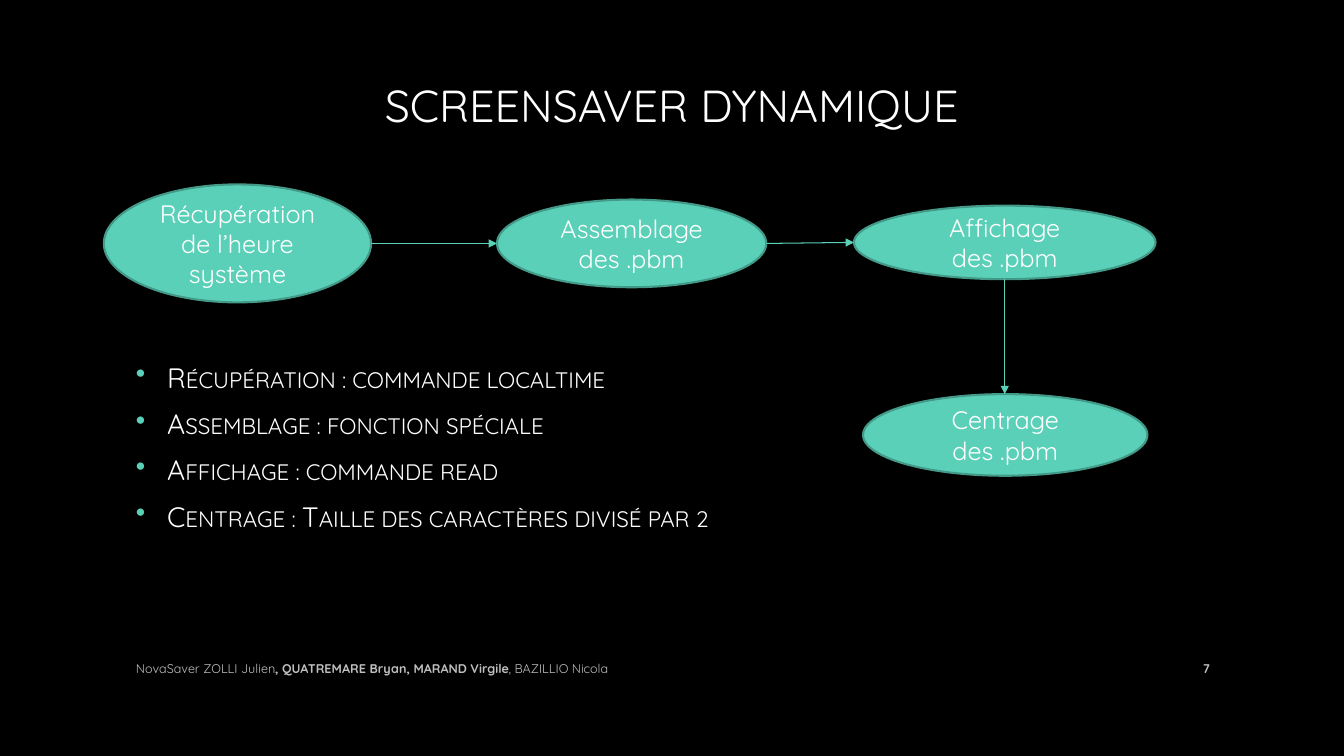
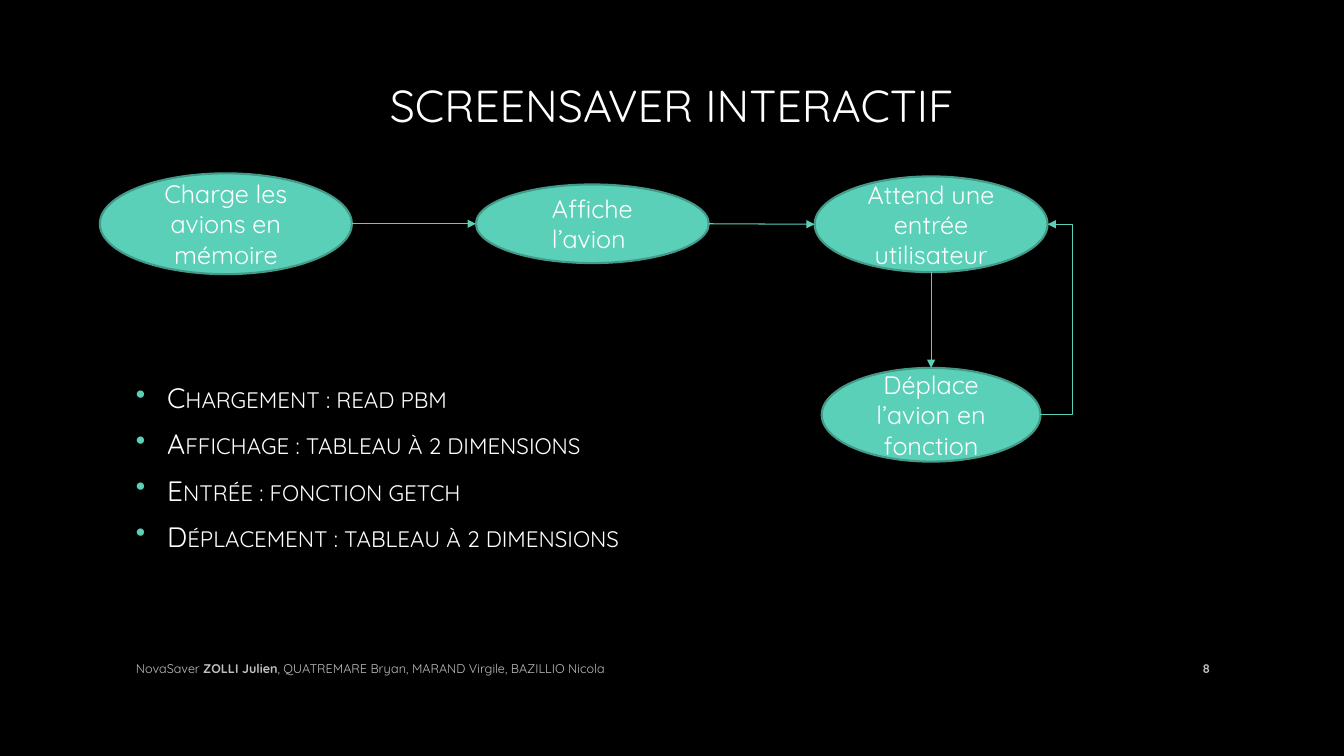
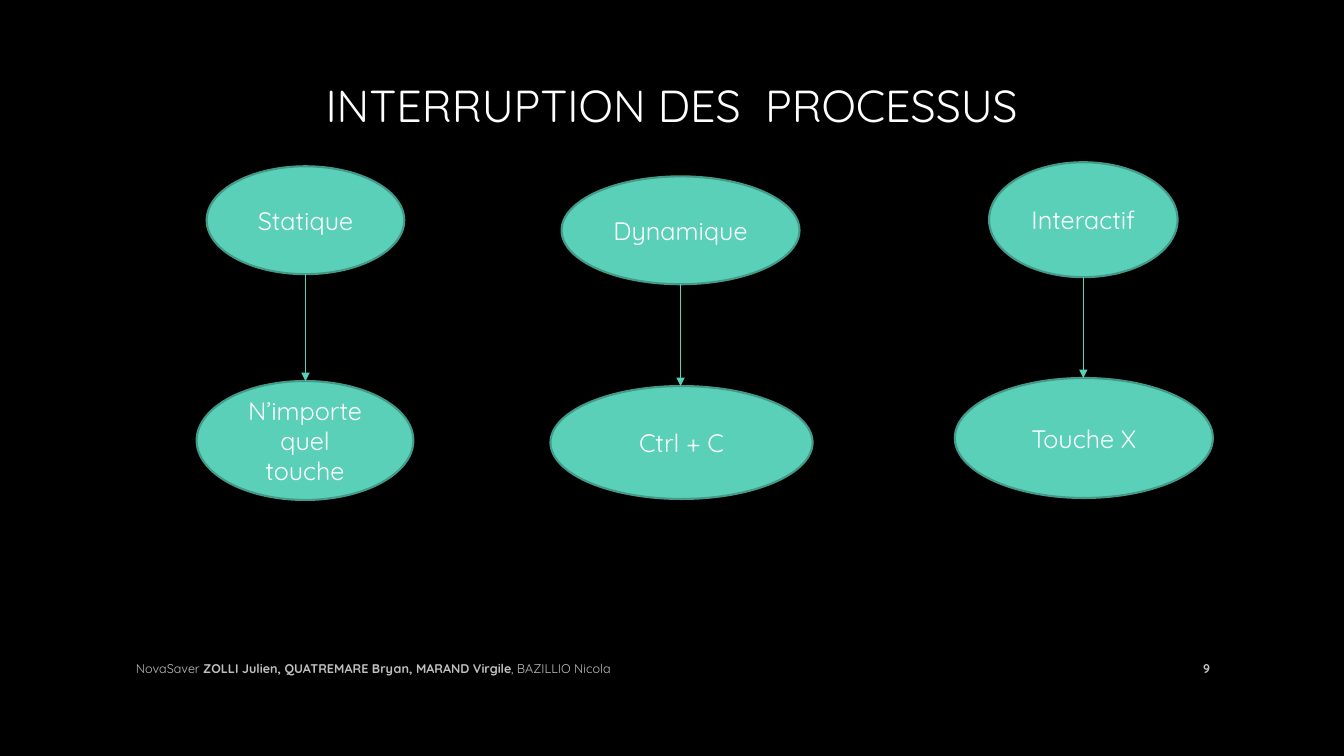
from lxml import etree
from pptx import Presentation
from pptx.dml.color import RGBColor
from pptx.enum.shapes import MSO_CONNECTOR, MSO_SHAPE
from pptx.enum.text import MSO_ANCHOR, PP_ALIGN
from pptx.oxml.ns import qn
from pptx.util import Emu, Pt

PX = 9144
FONT = "Quicksand"
COLORS = {
    "background": "000000",
    "text": "FFFFFF",
    "footer": "BFBFBF",
    "accent": "5AD0B8",
    "outline": "439A88",
}
LEFT, CENTER, RIGHT = PP_ALIGN.LEFT, PP_ALIGN.CENTER, PP_ALIGN.RIGHT
MIDDLE = MSO_ANCHOR.MIDDLE
ELLIPSE = MSO_SHAPE.OVAL
STRAIGHT, ELBOW = MSO_CONNECTOR.STRAIGHT, MSO_CONNECTOR.ELBOW

TITLE_BOX = (125, 0, 1083, 208)
FOOTER_BOX = (125, 643, 825, 40)
NUMBER_BOX = (1150, 643, 60, 40)
BODY_LEFT, BODY_WIDTH, BODY_HEIGHT = 125, 1083, 342
BULLET_INDENT = 31
RETURN_GAP = 25


def px(*lengths):
    return [Emu(length * PX) for length in lengths]


def color(name):
    return RGBColor.from_string(COLORS[name])


def style(paragraph, size, tint="text", align=LEFT):
    paragraph.alignment = align
    paragraph.font.name = FONT
    paragraph.font.size = Pt(size)
    paragraph.font.color.rgb = color(tint)


def add_text_frame(slide, box):
    frame = slide.shapes.add_textbox(*px(*box)).text_frame
    frame.word_wrap = True
    frame.vertical_anchor = MIDDLE
    return frame


def add_line(slide, box, pieces, size, tint="text", align=LEFT):
    paragraph = add_text_frame(slide, box).paragraphs[0]
    for words, bold in pieces:
        run = paragraph.add_run()
        run.text = words
        run.font.bold = bold
    style(paragraph, size, tint, align)


def add_bullet(paragraph):
    properties = paragraph._p.get_or_add_pPr()
    indent, = px(BULLET_INDENT)
    properties.set("marL", str(indent))
    properties.set("indent", str(-indent))
    tint = etree.SubElement(properties, qn("a:buClr"))
    etree.SubElement(tint, qn("a:srgbClr"), val=COLORS["accent"])
    etree.SubElement(properties, qn("a:buChar"), char="•")


def add_bullets(slide, top, items):
    frame = add_text_frame(slide, (BODY_LEFT, top, BODY_WIDTH, BODY_HEIGHT))
    for index, item in enumerate(items):
        paragraph = frame.add_paragraph() if index else frame.paragraphs[0]
        run = paragraph.add_run()
        run.text = item
        run._r.get_or_add_rPr().set("cap", "small")
        add_bullet(paragraph)
        paragraph.space_before = Pt(3)
        paragraph.space_after = Pt(6)
        style(paragraph, 20)


def add_step(slide, label, *box):
    step = slide.shapes.add_shape(ELLIPSE, *px(*box))
    step.shadow.inherit = False
    step.fill.solid()
    step.fill.fore_color.rgb = color("accent")
    step.line.color.rgb = color("outline")
    step.line.width = Pt(1.5)
    frame = step.text_frame
    frame.word_wrap = True
    frame.vertical_anchor = MIDDLE
    frame.text = label
    style(frame.paragraphs[0], 18, align=CENTER)
    return step


def add_arrow(slide, kind, start, end):
    arrow = slide.shapes.add_connector(kind, *start, *end)
    arrow.line.color.rgb = color("accent")
    arrow.line.width = Pt(0.75)
    etree.SubElement(arrow.line._get_or_add_ln(), qn("a:tailEnd"), type="triangle")
    etree.SubElement(arrow._element.spPr, qn("a:effectLst"))
    return arrow


def middle_y(step):
    return step.top + step.height // 2


def right_of(step):
    return step.left + step.width, middle_y(step)


def link_across(slide, source, target):
    add_arrow(slide, STRAIGHT, right_of(source), (target.left, middle_y(target)))


def link_down(slide, source, target):
    x = source.left + source.width // 2
    add_arrow(slide, STRAIGHT, (x, source.top + source.height), (x, target.top))


def link_back(slide, source, target):
    start, end = right_of(source), right_of(target)
    arrow = add_arrow(slide, ELBOW, start, end)
    gap, = px(RETURN_GAP)
    bend = (end[0] + gap - start[0]) / (end[0] - start[0])
    guides = arrow._element.spPr.find(qn("a:prstGeom")).get_or_add_avLst()
    etree.SubElement(guides, qn("a:gd"), name="adj1", fmla=f"val {round(bend * 100000)}")


def add_flow(slide, first, second, third, fourth):
    steps = [add_step(slide, *step) for step in (first, second, third, fourth)]
    link_across(slide, steps[0], steps[1])
    link_across(slide, steps[1], steps[2])
    link_down(slide, steps[2], steps[3])
    return steps


def new_slide(deck, number, title, credits):
    slide = deck.slides.add_slide(deck.slide_layouts[6])
    add_line(slide, TITLE_BOX, [(title, False)], 32, align=CENTER)
    add_line(slide, FOOTER_BOX, credits, 9, "footer")
    add_line(slide, NUMBER_BOX, [(str(number), True)], 9, "footer", RIGHT)
    return slide


def dynamic_slide(deck):
    slide = new_slide(deck, 7, "SCREENSAVER DYNAMIQUE", [
        ("NovaSaver ZOLLI Julien", False),
        (", QUATREMARE Bryan, MARAND Virgile", True),
        (", BAZILLIO Nicola", False),
    ])
    add_bullets(slide, 272, [
        "Récupération : commande localtime",
        "Assemblage : fonction spéciale",
        "Affichage : commande read",
        "Centrage : Taille des caractères divisé par 2",
    ])
    add_flow(
        slide,
        ("Récupération de l’heure système", 103, 183, 265, 117),
        ("Assemblage des .pbm", 493, 198, 267, 87),
        ("Affichage des .pbm", 847, 204, 299, 73),
        ("Centrage des .pbm", 856, 391, 282, 81),
    )


def interactive_slide(deck):
    slide = new_slide(deck, 8, "SCREENSAVER INTERACTIF", [
        ("NovaSaver ", False),
        ("ZOLLI Julien", True),
        (", QUATREMARE Bryan, MARAND Virgile, BAZILLIO Nicola", False),
    ])
    add_bullets(slide, 292, [
        "Chargement : read pbm",
        "Affichage : tableau à 2 dimensions",
        "Entrée : fonction getch",
        "Déplacement : tableau à 2 dimensions",
    ])
    steps = add_flow(
        slide,
        ("Charge les avions en mémoire", 99, 172, 250, 100),
        ("Affiche l’avion ", 472, 183, 231, 78),
        ("Attend une entrée utilisateur", 808, 175, 231, 95),
        ("Déplace l’avion en fonction", 815, 365, 217, 93),
    )
    link_back(slide, steps[3], steps[2])


def interruption_slide(deck):
    slide = new_slide(deck, 9, "INTERRUPTION DES  PROCESSUS", [
        ("NovaSaver ", False),
        ("ZOLLI Julien, QUATREMARE Bryan, MARAND Virgile", True),
        (", BAZILLIO Nicola", False),
    ])
    for mode, trigger in (
        (("Statique", 205, 165, 196, 107), ("N’importe quel touche", 195, 378, 215, 118)),
        (("Dynamique", 557, 175, 236, 107), ("Ctrl + C", 546, 383, 260, 112)),
        (("Interactif", 981, 161, 187, 114), ("Touche X", 947, 375, 256, 119)),
    ):
        link_down(slide, add_step(slide, *mode), add_step(slide, *trigger))


def main():
    deck = Presentation()
    deck.slide_width, deck.slide_height = px(1333, 750)
    backdrop = deck.slide_master.background.fill
    backdrop.solid()
    backdrop.fore_color.rgb = color("background")
    dynamic_slide(deck)
    interactive_slide(deck)
    interruption_slide(deck)
    deck.save("out.pptx")


if __name__ == "__main__":
    main()
